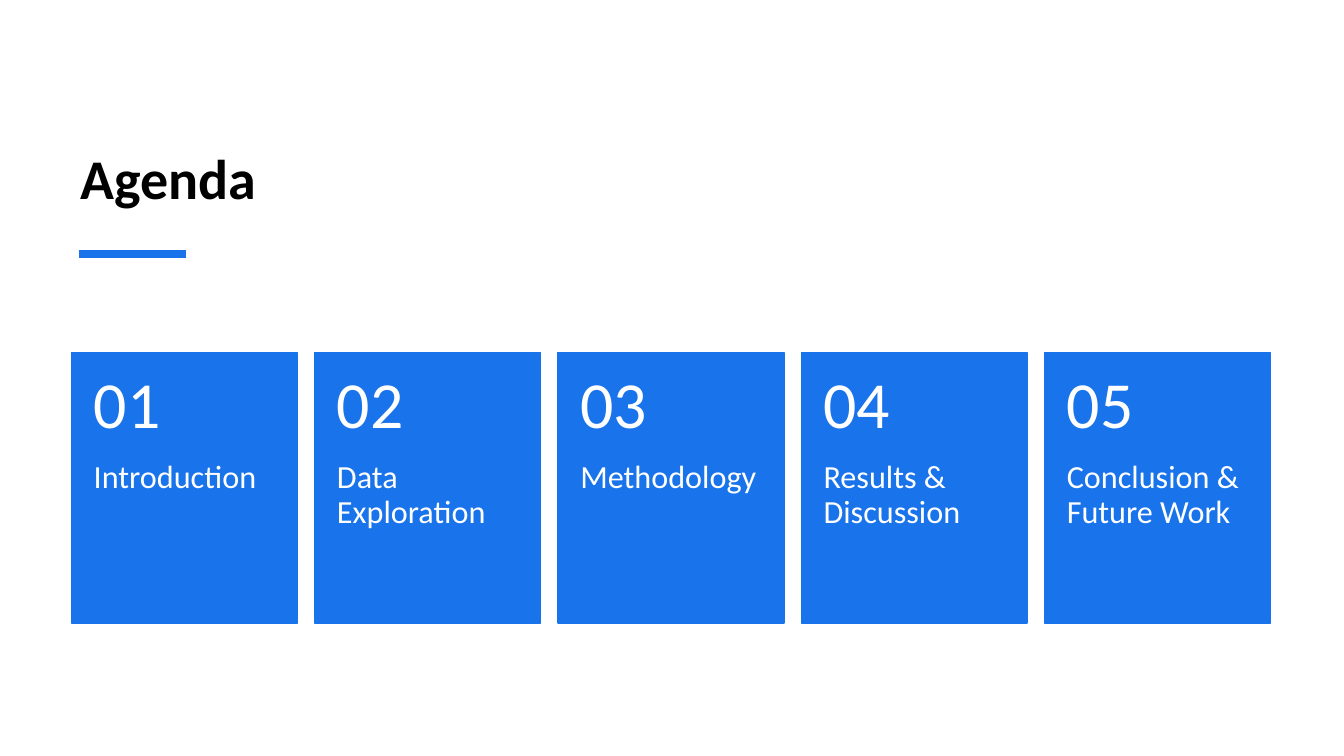
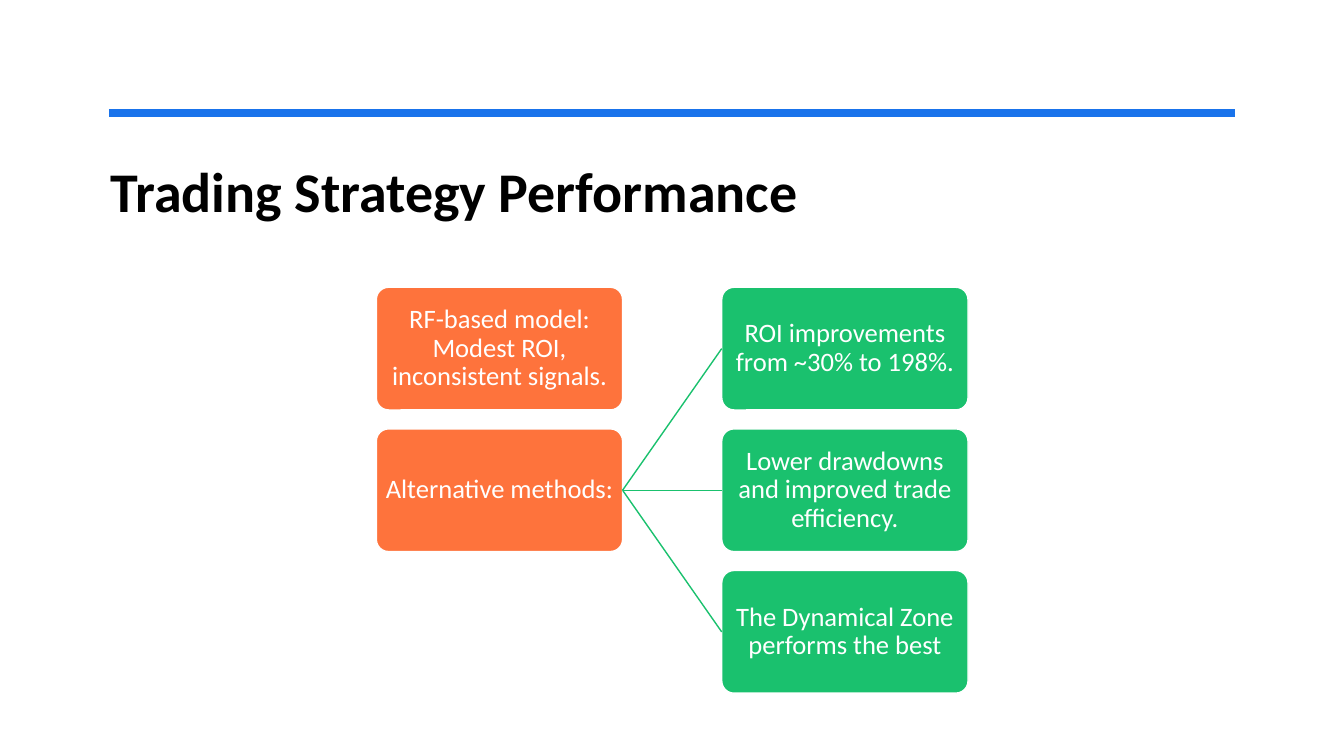
from dataclasses import dataclass

from pptx import Presentation
from pptx.dml.color import RGBColor
from pptx.enum.shapes import MSO_CONNECTOR, MSO_SHAPE
from pptx.enum.text import MSO_ANCHOR, MSO_AUTO_SIZE, PP_ALIGN
from pptx.oxml.ns import qn
from pptx.util import Inches, Pt

COLORS = {
    "blue": "1973EB",
    "orange": "FE733C",
    "green": "1AC16E",
    "white": "FFFFFF",
    "black": "000000",
}
FONT = "Calibri"
COLUMNS, ROWS = 40, 30
SLIDE_WIDTH, SLIDE_HEIGHT = Inches(13.33), Inches(7.5)
TITLE_ONLY = 5
LEFT_SITE, RIGHT_SITE = 1, 3


def across(columns):
    return round(SLIDE_WIDTH * columns / COLUMNS)


def down(rows):
    return round(SLIDE_HEIGHT * rows / ROWS)


def color(name):
    return RGBColor.from_string(COLORS[name])


@dataclass
class Tiles:
    """Equal tiles with equal gaps, measured in slide columns and rows."""
    left: float
    top: float
    width: float
    height: float
    column_gap: float
    row_gap: float = 0

    def frame(self, column, row=0):
        return (self.left + column * (self.width + self.column_gap),
                self.top + row * (self.height + self.row_gap),
                self.width, self.height)


class SlideBuilder:
    def __init__(self):
        self.deck = Presentation()
        self.deck.slide_width = SLIDE_WIDTH
        self.deck.slide_height = SLIDE_HEIGHT
        self.page = None

    def place(self, frame):
        left, top, width, height = frame
        return across(left), down(top), across(width), down(height)

    def add_text(self, shape, text, size, ink="white", bold=False,
                 anchor=MSO_ANCHOR.MIDDLE, align=PP_ALIGN.LEFT, spacing=0.9):
        frame = shape.text_frame
        frame.word_wrap = True
        frame.auto_size = MSO_AUTO_SIZE.NONE
        frame.vertical_anchor = anchor
        para = frame.paragraphs[0]
        para.alignment = align
        para.line_spacing = spacing
        span = para.add_run()
        span.text = text
        span.font.name = FONT
        span.font.size = Pt(size)
        span.font.bold = bold
        span.font.color.rgb = color(ink)

    def inset(self, shape, left, top, right, bottom):
        frame = shape.text_frame
        frame.margin_left, frame.margin_right = across(left), across(right)
        frame.margin_top, frame.margin_bottom = down(top), down(bottom)

    def start(self, title, frame, anchor):
        """Add a slide with a formatted title."""
        self.page = self.deck.slides.add_slide(
            self.deck.slide_layouts[TITLE_ONLY])
        box = self.page.shapes.title
        box.left, box.top, box.width, box.height = self.place(frame)
        self.add_text(box, title, 40, "black", True, anchor, spacing=1.0)

    def line(self, name, width, start=(0, 0), end=(0, 0)):
        line = self.page.shapes.add_connector(
            MSO_CONNECTOR.STRAIGHT, across(start[0]), down(start[1]),
            across(end[0]), down(end[1]))
        line.line.color.rgb = color(name)
        line.line.width = Pt(width)
        properties = line._element.spPr
        properties.append(properties.makeelement(qn("a:effectLst"), {}))
        return line

    def rule(self, left, right, row):
        self.line("blue", 6, (left, row), (right, row))

    def block(self, kind, frame, fill, outline):
        shape = self.page.shapes.add_shape(kind, *self.place(frame))
        shape.shadow.inherit = False
        shape.fill.solid()
        shape.fill.fore_color.rgb = color(fill)
        shape.line.color.rgb = color(outline)
        shape.line.width = Pt(1)
        return shape

    def card(self, frame, number, label):
        head = 4.28
        left, top, width, _ = frame
        card = self.block(MSO_SHAPE.RECTANGLE, frame, "blue", "blue")
        self.inset(card, 0.66, head, 0.66, 1.44)
        self.add_text(card, label, 23, anchor=MSO_ANCHOR.TOP)
        box = self.page.shapes.add_textbox(
            *self.place((left, top, width, head)))
        self.inset(box, 0.66, 0.72, 0.66, 0.72)
        self.add_text(box, f"{number:02}", 47)

    def node(self, frame, fill, text):
        node = self.block(MSO_SHAPE.ROUNDED_RECTANGLE, frame, fill, "white")
        node.adjustments[0] = 0.1
        self.inset(node, 0.03, 0.04, 0.03, 0.04)
        self.add_text(node, text, 19, align=PP_ALIGN.CENTER)
        return node

    def link(self, parent, child):
        link = self.line("green", 1)
        link.begin_connect(parent, RIGHT_SITE)
        link.end_connect(child, LEFT_SITE)


def add_agenda(builder):
    builder.start("Agenda", (2.1, 2.48, 35.73, 6.08), MSO_ANCHOR.BOTTOM)
    builder.rule(2.34, 5.55, 10.08)
    tiles = Tiles(2.13, 14, 6.72, 10.72, column_gap=0.52)
    topics = ["Introduction", "Data Exploration", "Methodology",
              "Results & Discussion", "Conclusion & Future Work"]
    for column, topic in enumerate(topics):
        builder.card(tiles.frame(column), column + 1, topic)


def add_performance(builder):
    builder.start("Trading Strategy Performance", (3, 6, 34, 5),
                  MSO_ANCHOR.TOP)
    builder.rule(3.24, 36.75, 4.48)
    tiles = Tiles(11.2, 11.4, 7.33, 4.87, column_gap=2.95, row_gap=0.75)
    methods = ["RF-based model: Modest ROI, inconsistent signals.",
               "Alternative methods:"]
    results = ["ROI improvements from ~30% to 198%.",
               "Lower drawdowns and improved trade efficiency.",
               "The Dynamical Zone performs the best"]
    method_nodes = [builder.node(tiles.frame(0, row), "orange", text)
                    for row, text in enumerate(methods)]
    for row, text in enumerate(results):
        result = builder.node(tiles.frame(1, row), "green", text)
        builder.link(method_nodes[-1], result)


def main():
    builder = SlideBuilder()
    add_agenda(builder)
    add_performance(builder)
    builder.deck.save("out.pptx")


if __name__ == "__main__":
    main()
